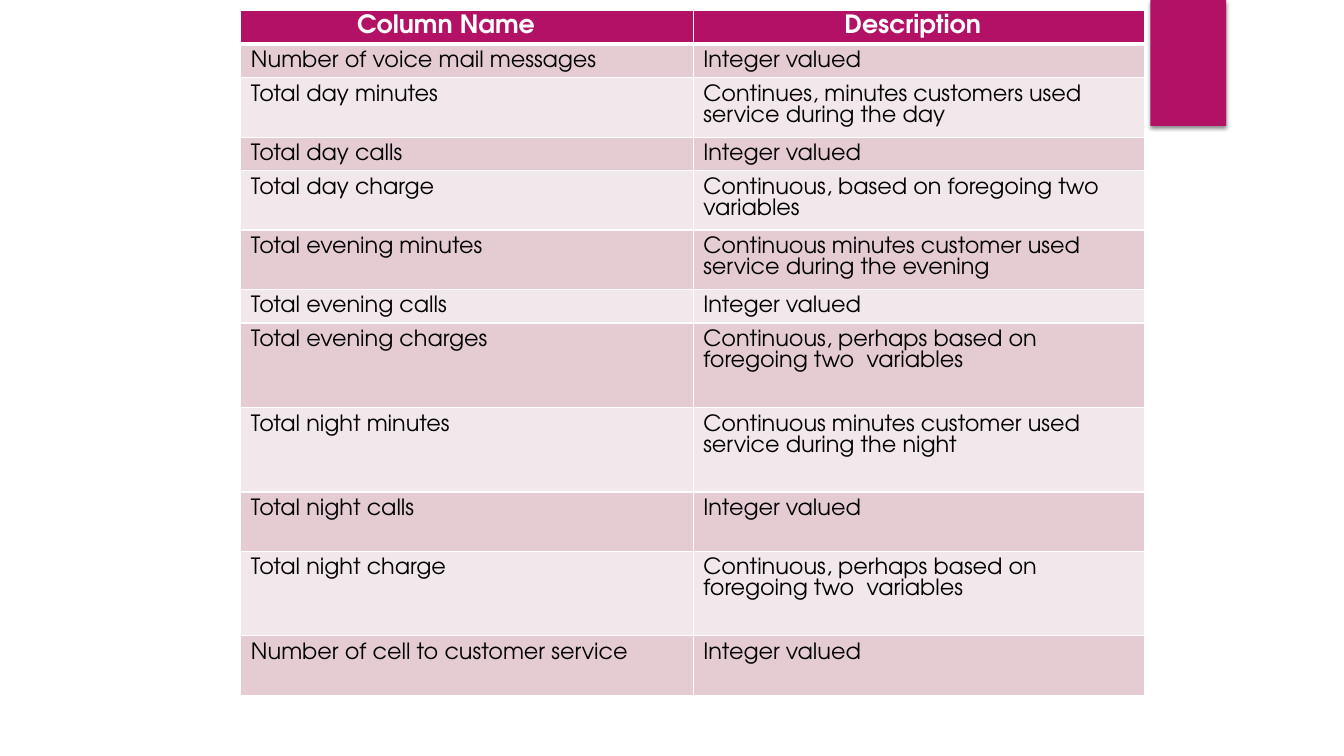
import dataclasses

import lxml.etree
import pptx
import pptx.dml.color
import pptx.enum.shapes
import pptx.oxml.ns
import pptx.util

Pt = pptx.util.Pt
qn = pptx.oxml.ns.qn


@dataclasses.dataclass(frozen=True)
class Theme:
    accent: str = "B31166"
    bands: tuple = ("E5CCD3", "F2E7EA")
    light: str = "FFFFFF"
    ink: str = "000000"
    font: str = "TeX Gyre Adventor"
    heading_size: int = 18
    body_size: int = 16
    heading_leading: int = 17
    body_leading: int = 15


THEME = Theme()
SHORT, MEDIUM, TALL = 24, 42.4, 60.4
COLUMN_WIDTHS = (323.2, 322.6)
HEADINGS = (("Column Name", 83), ("Description", 108))
VARIABLES = (
    ("Number of voice mail messages", "Integer valued", SHORT),
    ("Total day minutes", "Continues, minutes customers used service during the day", MEDIUM),
    ("Total day calls", "Integer valued", SHORT),
    ("Total day charge", "Continuous, based on foregoing two variables", MEDIUM),
    ("Total evening minutes", "Continuous minutes customer used service during the evening", MEDIUM),
    ("Total evening calls", "Integer valued", SHORT),
    ("Total evening charges", "Continuous, perhaps based on foregoing two  variables", TALL),
    ("Total night minutes", "Continuous minutes customer used service during the night", TALL),
    ("Total night calls", "Integer valued", MEDIUM),
    ("Total night charge", "Continuous, perhaps based on foregoing two  variables", TALL),
    ("Number of cell to customer service", "Integer valued", MEDIUM),
)


def rgb(color):
    return pptx.dml.color.RGBColor.from_string(color)


def add_color(parent, color):
    fill = lxml.etree.SubElement(parent, qn("a:solidFill"))
    return lxml.etree.SubElement(fill, qn("a:srgbClr"), val=color)


def set_borders(cell, top, bottom):
    properties = cell._tc.get_or_add_tcPr()
    for place, (side, width) in enumerate((("L", 1), ("R", 1), ("T", top), ("B", bottom))):
        border = lxml.etree.Element(qn("a:ln" + side), w=str(Pt(width)))
        add_color(border, THEME.light)
        properties.insert(place, border)


def write_cell(cell, text, fill, color, size, leading, left, top, bold=False):
    cell.fill.solid()
    cell.fill.fore_color.rgb = rgb(fill)
    cell.margin_left, cell.margin_right = Pt(left), Pt(7.2)
    cell.margin_top, cell.margin_bottom = Pt(top), Pt(0)
    cell.text_frame.text = text
    paragraph = cell.text_frame.paragraphs[0]
    paragraph.line_spacing = Pt(leading)
    font = paragraph.runs[0].font
    font.name, font.size, font.bold = THEME.font, Pt(size), bold
    font.color.rgb = rgb(color)


def add_corner_tab(slide, left, top, width, height):
    tab = slide.shapes.add_shape(
        pptx.enum.shapes.MSO_SHAPE.RECTANGLE, Pt(left), Pt(top), Pt(width), Pt(height))
    tab.shadow.inherit = False
    tab.fill.solid()
    tab.fill.fore_color.rgb = rgb(THEME.accent)
    tab.line.fill.background()
    effects = tab._element.spPr.find(qn("a:effectLst"))
    shadow = lxml.etree.SubElement(
        effects, qn("a:outerShdw"), blurRad=str(Pt(3)), dist=str(Pt(2)),
        dir="5400000", rotWithShape="0")
    shade = lxml.etree.SubElement(shadow, qn("a:srgbClr"), val=THEME.ink)
    lxml.etree.SubElement(shade, qn("a:alpha"), val="45000")


def add_variable_table(slide, left, top):
    heights = [SHORT] + [height for *_, height in VARIABLES]
    table = slide.shapes.add_table(
        len(heights), len(COLUMN_WIDTHS), Pt(left), Pt(top),
        Pt(sum(COLUMN_WIDTHS)), Pt(sum(heights))).table
    for column, width in zip(table.columns, COLUMN_WIDTHS):
        column.width = Pt(width)
    for row, height in zip(table.rows, heights):
        row.height = Pt(height)
    for column, (heading, indent) in enumerate(HEADINGS):
        cell = table.cell(0, column)
        write_cell(cell, heading, THEME.accent, THEME.light, THEME.heading_size,
                   THEME.heading_leading, indent, 3, bold=True)
        set_borders(cell, 1, 3)
    for row, (name, description, _) in enumerate(VARIABLES, start=1):
        for column, text in enumerate((name, description)):
            cell = table.cell(row, column)
            write_cell(cell, text, THEME.bands[(row - 1) % 2], THEME.ink,
                       THEME.body_size, THEME.body_leading, 7.2, 5)
            set_borders(cell, 3 if row == 1 else 1, 1)


def main():
    deck = pptx.Presentation()
    deck.slide_width, deck.slide_height = Pt(960), Pt(540)
    slide = deck.slides.add_slide(deck.slide_layouts.get_by_name("Blank"))
    add_corner_tab(slide, 821.8, 0, 54, 90)
    add_variable_table(slide, 172, 7.6)
    deck.save("out.pptx")


if __name__ == "__main__":
    main()
